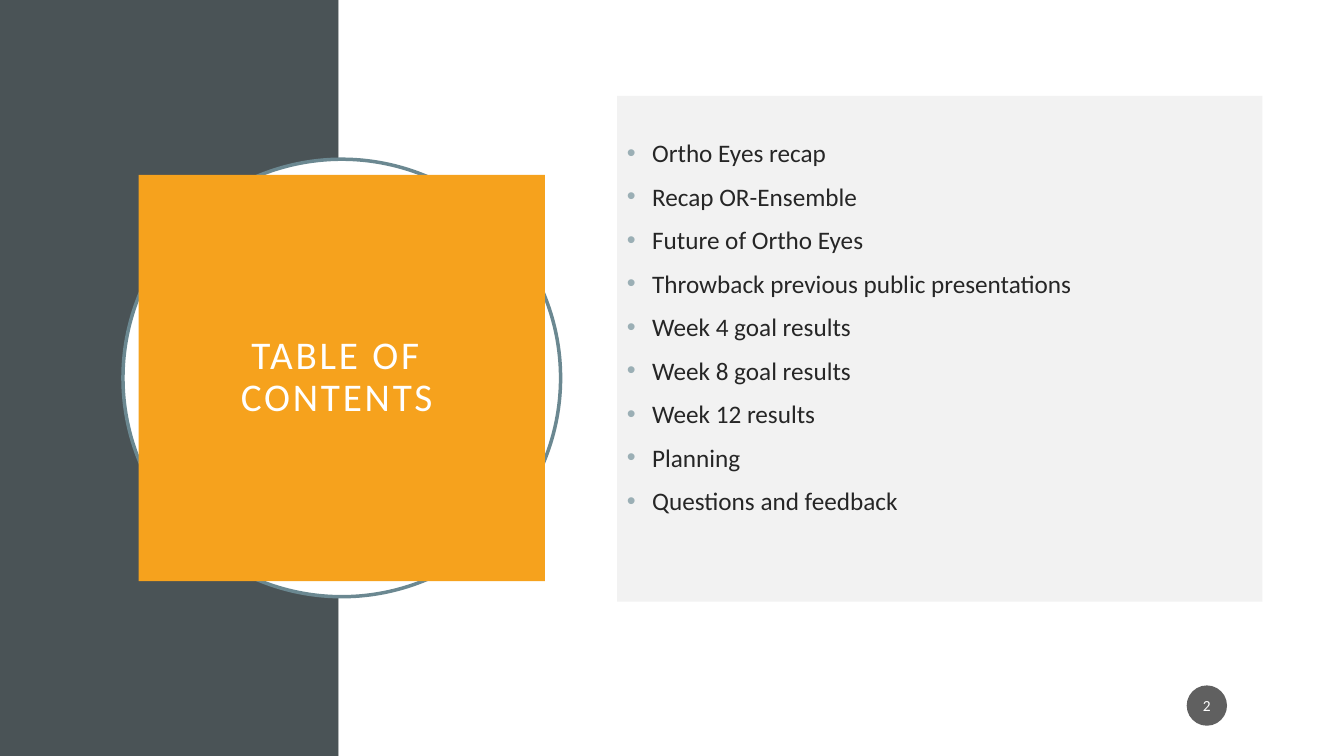
"""Build a table of contents slide with a title panel and a bulleted agenda."""
import pptx
import pptx.dml.color
import pptx.enum.shapes
import pptx.enum.text
import pptx.oxml
import pptx.oxml.ns
import pptx.util
from lxml import etree

Inches, Pt = pptx.util.Inches, pptx.util.Pt
RGBColor = pptx.dml.color.RGBColor
Shape = pptx.enum.shapes.MSO_SHAPE
Align = pptx.enum.text.PP_ALIGN
Anchor = pptx.enum.text.MSO_ANCHOR

TITLE = "TABLE OF CONTENTS\u00a0".replace("\u00a0", " ").strip()
AGENDA = [
    "Ortho Eyes recap",
    "Recap OR-Ensemble",
    "Future of Ortho Eyes",
    "Throwback previous public presentations",
    "Week 4 goal results",
    "Week 8 goal results",
    "Week 12 results",
    "Planning",
    "Questions and feedback",
]
PAGE_NUMBER = "2"

FONT = "Calibri"
WHITE = RGBColor(0xFF, 0xFF, 0xFF)
SLATE = RGBColor(0x4A, 0x53, 0x56)
RING = RGBColor(0x6B, 0x88, 0x91)
ORANGE = RGBColor(0xF6, 0xA2, 0x1D)
PALE = RGBColor(0xF2, 0xF2, 0xF2)
INK = RGBColor(0x26, 0x26, 0x26)
BADGE = RGBColor(0x1D, 0x1D, 0x1D)
BULLET = "9BAFB5"

WIDTH, HEIGHT = 13.33, 7.5
BAND = 3.36
CENTRE_X, CENTRE_Y = 3.39, 3.75
RING_SIZE, TITLE_SIZE = 4.34, 4.03


def add_block(page, kind, box, fill):
    shape = page.shapes.add_shape(kind, *[Inches(value) for value in box])
    shape.shadow.inherit = False
    shape.fill.solid()
    shape.fill.fore_color.rgb = fill
    shape.line.fill.background()
    return shape


def centred(size):
    return CENTRE_X - size / 2, CENTRE_Y - size / 2, size, size


def write(shape, lines, size, colour, align, insets):
    frame = shape.text_frame
    frame.text = "\n".join(lines)
    frame.word_wrap = True
    frame.vertical_anchor = Anchor.MIDDLE
    (frame.margin_left, frame.margin_top,
     frame.margin_right, frame.margin_bottom) = [Inches(value) for value in insets]
    for para in frame.paragraphs:
        para.alignment = align
        for span in para.runs:
            span.font.name = FONT
            span.font.size = Pt(size)
            span.font.color.rgb = colour
    return frame.paragraphs


def add_bullet(para):
    properties = para._p.get_or_add_pPr()
    properties.set("marL", str(Inches(0.25)))
    properties.set("indent", str(-Inches(0.25)))
    colour = etree.SubElement(properties, pptx.oxml.ns.qn("a:buClr"))
    etree.SubElement(colour, pptx.oxml.ns.qn("a:srgbClr"), val=BULLET)
    etree.SubElement(properties, pptx.oxml.ns.qn("a:buFont"), typeface="Arial")
    etree.SubElement(properties, pptx.oxml.ns.qn("a:buChar"), char="•")


def main():
    deck = pptx.Presentation()
    deck.slide_width, deck.slide_height = Inches(WIDTH), Inches(HEIGHT)
    page = deck.slides.add_slide(deck.slide_layouts[6])

    add_block(page, Shape.RECTANGLE, (0, 0, BAND, HEIGHT), SLATE)
    add_block(page, Shape.RECTANGLE, (BAND, 0, WIDTH - BAND, HEIGHT), WHITE)
    ring = add_block(page, Shape.OVAL, centred(RING_SIZE), WHITE)
    ring.line.color.rgb = RING
    ring.line.width = Pt(2.5)

    panel = add_block(page, Shape.RECTANGLE, centred(TITLE_SIZE), ORANGE)
    for para in write(panel, [TITLE], 28, WHITE, Align.CENTER, (0.7, 0.2, 0.8, 0.2)):
        para.line_spacing = 0.9
        for span in para.runs:
            span.font._element.set("spc", "200")

    agenda = add_block(page, Shape.RECTANGLE, (6.12, 0.95, 6.4, 5.02), PALE)
    for para in write(agenda, AGENDA, 18, INK, Align.LEFT, (0.1, 0.05, 0.1, 0.49)):
        para.space_before = Pt(9.5)
        add_bullet(para)

    badge = add_block(page, Shape.OVAL, (11.77, 6.8, 0.4, 0.4), BADGE)
    tint = badge.fill._xPr.find(".//" + pptx.oxml.ns.qn("a:srgbClr"))
    etree.SubElement(tint, pptx.oxml.ns.qn("a:alpha"), val="70000")
    write(badge, [PAGE_NUMBER], 11, WHITE, Align.CENTER, (0.02, 0.05, 0.02, 0.05))

    deck.save("out.pptx")


if __name__ == "__main__":
    main()
